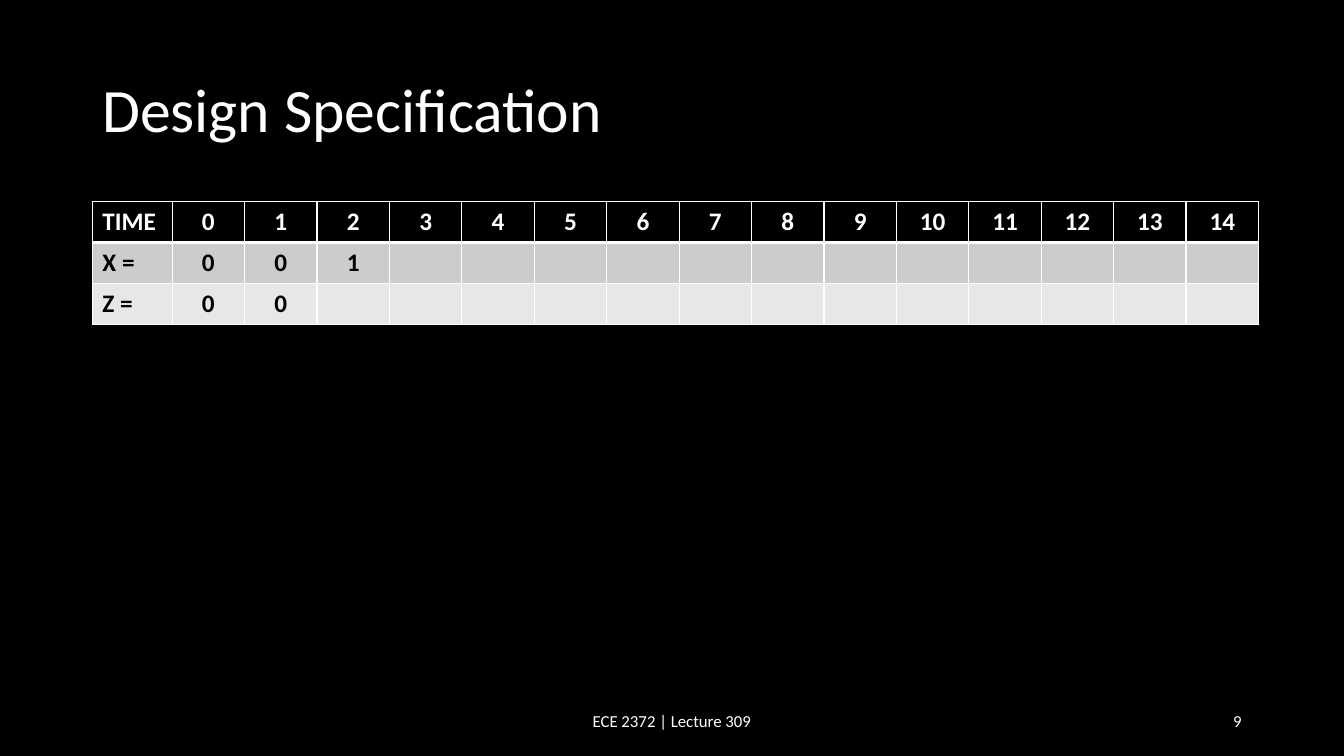
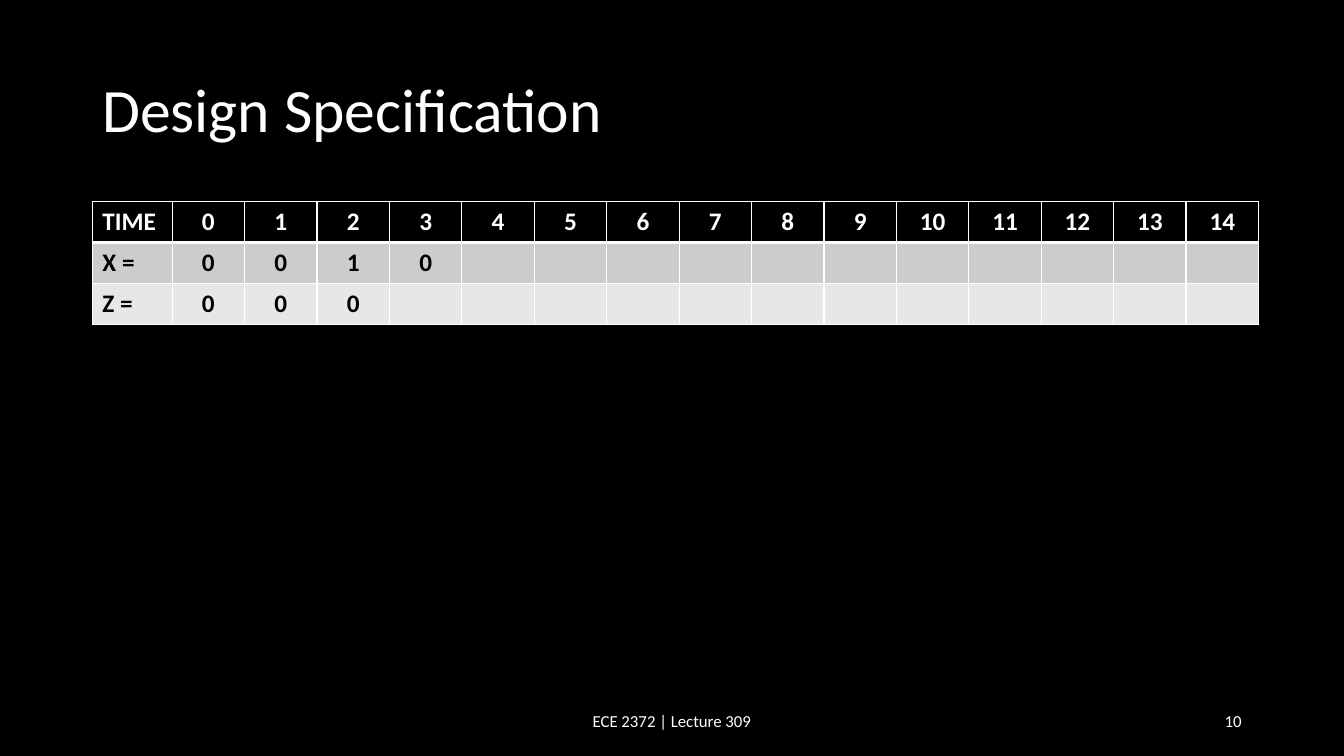
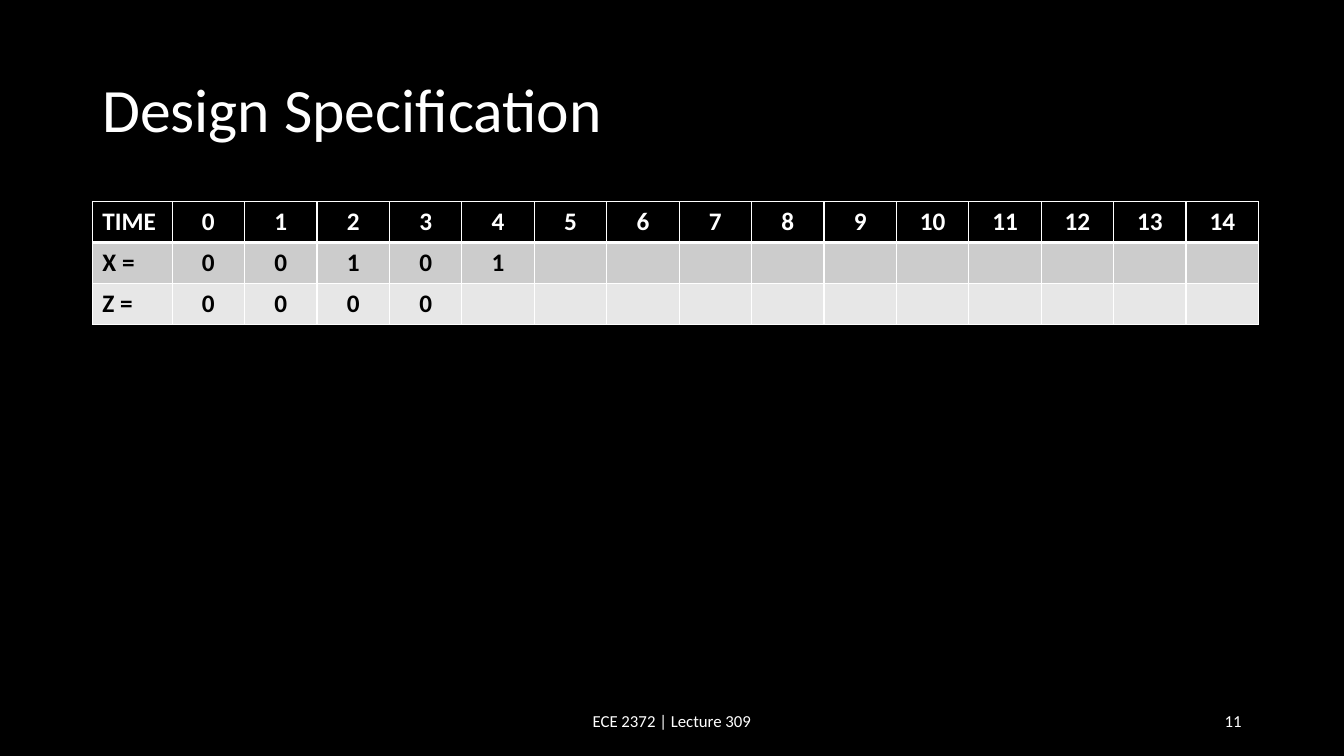
from dataclasses import dataclass

from lxml import etree
from pptx import Presentation
from pptx.dml.color import RGBColor
from pptx.enum.text import MSO_ANCHOR, PP_ALIGN
from pptx.oxml.ns import qn
from pptx.util import Pt

LEFT, CENTER, RIGHT = PP_ALIGN.LEFT, PP_ALIGN.CENTER, PP_ALIGN.RIGHT
MIDDLE = MSO_ANCHOR.MIDDLE
EMU_PER_PX = 9525
BLANK_LAYOUT = 6


@dataclass(frozen=True)
class Theme:
    font: str = "Calibri"
    background: str = "000000"
    text: str = "FFFFFF"
    body_text: str = "000000"
    grid: str = "FFFFFF"
    row_fills: tuple = ("000000", "CCCCCC", "E7E7E7")
    title_size: int = 44
    table_size: int = 18
    footer_size: int = 12
    grid_width: int = 1
    header_rule_width: int = 3


THEME = Theme()
SLIDE_SIZE = (1280, 720)
TITLE_BOX = (88, 38, 1104, 139)
TABLE_BOX = (88, 192, 1111, 117)
FOOTER_BOX = (424, 667, 432, 38)
NUMBER_BOX = (904, 667, 288, 38)
LABEL_COLUMN = 76

TITLE = "Design Specification"
FOOTER = "ECE 2372 | Lecture 309"
TIMES = [str(time) for time in range(15)]
# Slide number, inputs X so far, outputs Z so far
STEPS = [(9, "001", "00"), (10, "0010", "000"), (11, "00101", "0000")]


def px(length):
    return round(length * EMU_PER_PX)


def style_paragraph(paragraph, size, color, align, bold=False):
    paragraph.alignment = align
    for run in paragraph.runs:
        run.font.name = THEME.font
        run.font.size = Pt(size)
        run.font.bold = bold
        run.font.color.rgb = RGBColor.from_string(color)


def add_text(slide, box, text, size, align=LEFT):
    frame = slide.shapes.add_textbox(*map(px, box)).text_frame
    frame.word_wrap = True
    frame.vertical_anchor = MIDDLE
    frame.text = text
    paragraph = frame.paragraphs[0]
    style_paragraph(paragraph, size, THEME.text, align)
    return paragraph


def add_title(slide, box):
    add_text(slide, box, TITLE, THEME.title_size).line_spacing = 0.9


def add_footer(slide, footer_box, number_box, number):
    add_text(slide, footer_box, FOOTER, THEME.footer_size, CENTER)
    add_text(slide, number_box, str(number), THEME.footer_size, RIGHT)


def set_borders(cell, top, bottom):
    """Rule all four sides; top and bottom are widths in points."""
    widths = {"L": THEME.grid_width, "R": THEME.grid_width, "T": top, "B": bottom}
    properties = cell._tc.get_or_add_tcPr()
    for side, width in widths.items():
        line = etree.SubElement(properties, qn(f"a:ln{side}"), w=str(Pt(width)))
        fill = etree.SubElement(line, qn("a:solidFill"))
        etree.SubElement(fill, qn("a:srgbClr"), val=THEME.grid)


def add_timing_table(slide, box, inputs, outputs):
    rows = [["TIME", *TIMES], ["X =", *inputs], ["Z =", *outputs]]
    column_count = len(TIMES) + 1
    table = slide.shapes.add_table(len(rows), column_count, *map(px, box)).table
    _, _, width, height = box
    time_column = (width - LABEL_COLUMN) / len(TIMES)
    for index, column in enumerate(table.columns):
        column.width = px(time_column if index else LABEL_COLUMN)
    for row in table.rows:
        row.height = px(height / len(rows))

    rules = [THEME.grid_width, THEME.header_rule_width, THEME.grid_width, THEME.grid_width]
    for r, values in enumerate(rows):
        color = THEME.body_text if r else THEME.text
        for c in range(column_count):
            cell = table.cell(r, c)
            set_borders(cell, rules[r], rules[r + 1])
            cell.fill.solid()
            cell.fill.fore_color.rgb = RGBColor.from_string(THEME.row_fills[r])
            if c < len(values):
                cell.text_frame.text = values[c]
                style_paragraph(cell.text_frame.paragraphs[0], THEME.table_size,
                                color, CENTER if c else LEFT, bold=True)


def add_step_slide(prs, number, inputs, outputs):
    slide = prs.slides.add_slide(prs.slide_layouts[BLANK_LAYOUT])
    add_title(slide, TITLE_BOX)
    add_timing_table(slide, TABLE_BOX, inputs, outputs)
    add_footer(slide, FOOTER_BOX, NUMBER_BOX, number)


def main():
    prs = Presentation()
    prs.slide_width, prs.slide_height = map(px, SLIDE_SIZE)
    backdrop = prs.slide_master.background.fill
    backdrop.solid()
    backdrop.fore_color.rgb = RGBColor.from_string(THEME.background)
    for step in STEPS:
        add_step_slide(prs, *step)
    prs.save("out.pptx")


if __name__ == "__main__":
    main()
